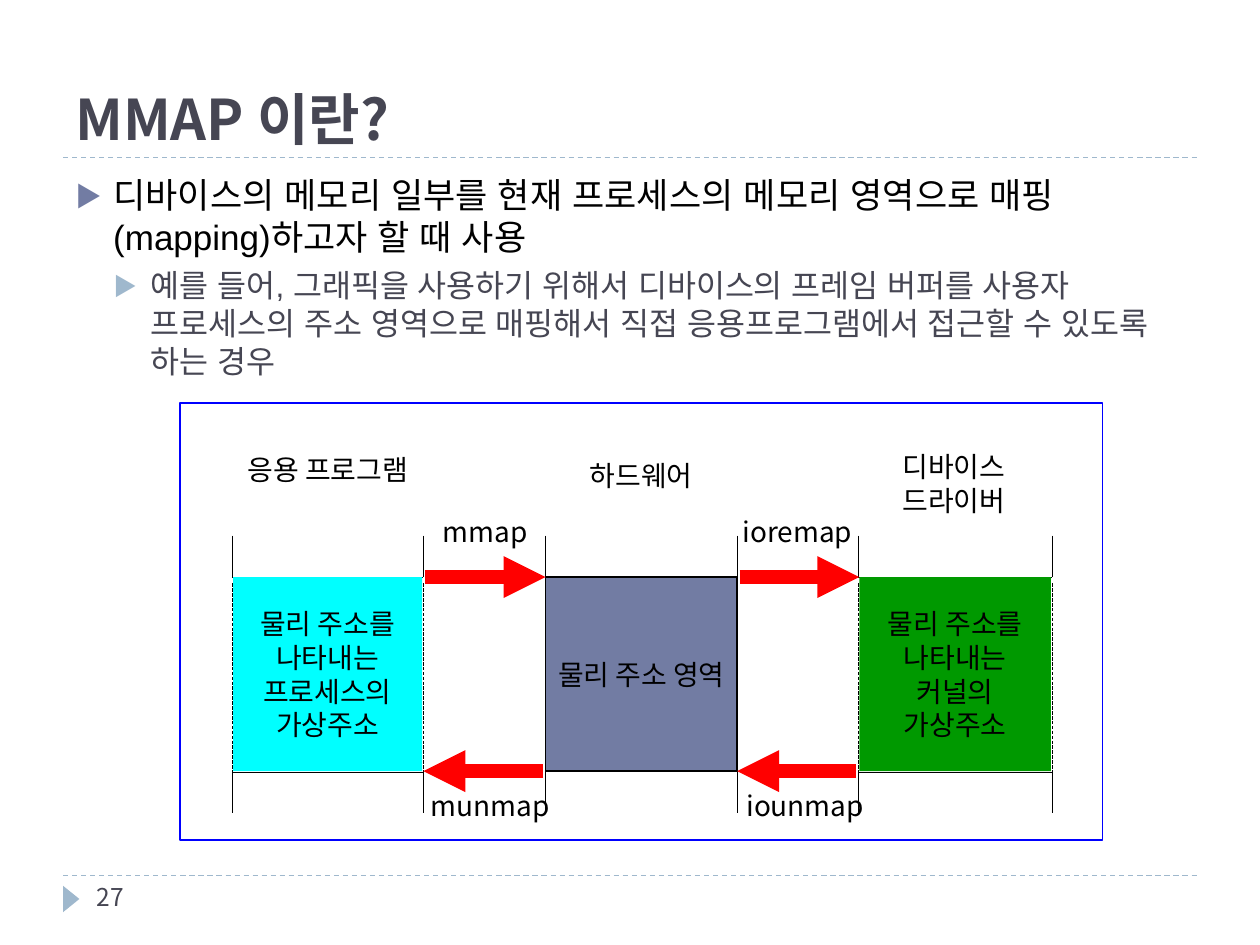
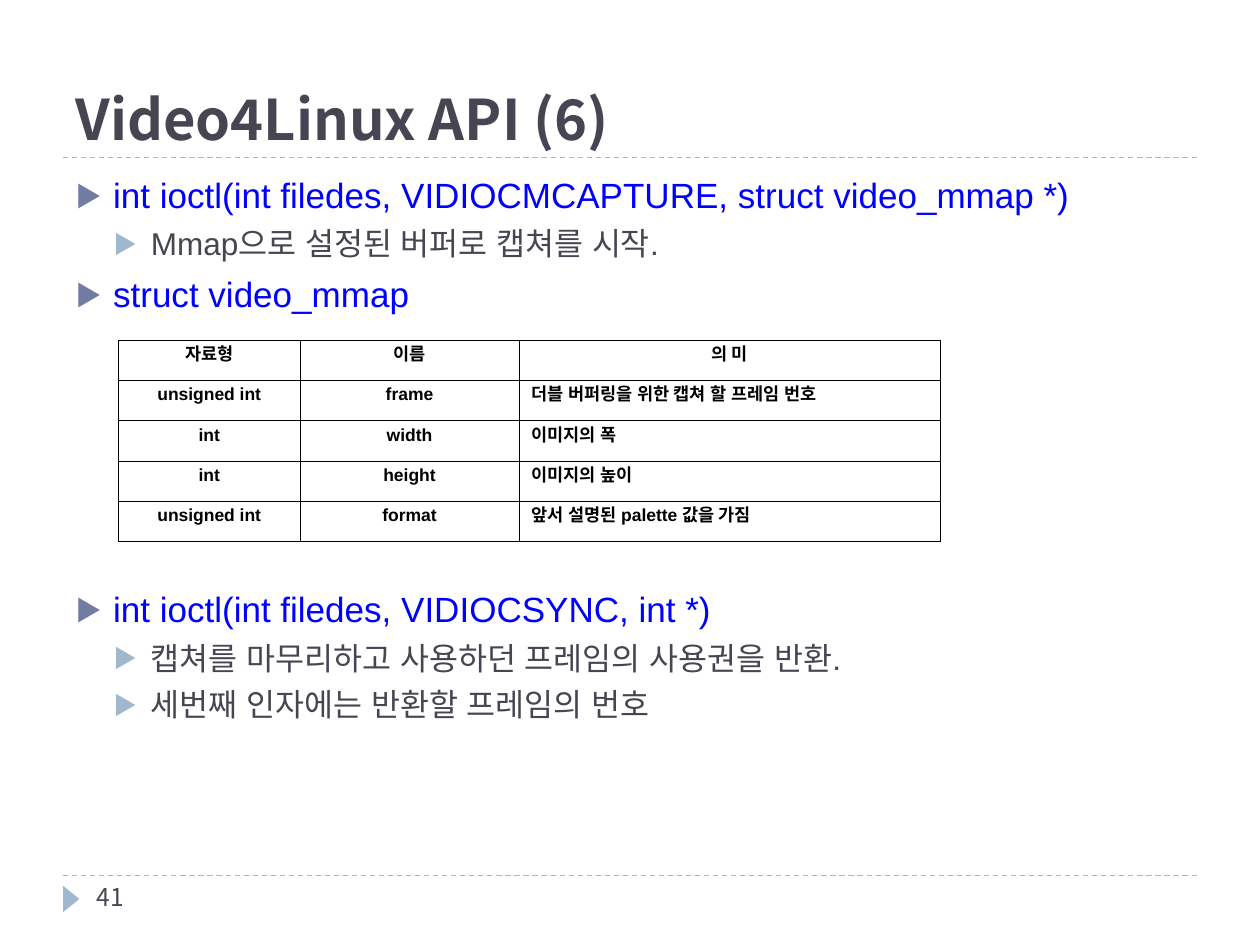
import pptx
import pptx.util
import pptx.dml.color
import pptx.enum.dml
import pptx.enum.shapes
import pptx.enum.text
import pptx.oxml.ns
from lxml import etree

Inches, Pt = pptx.util.Inches, pptx.util.Pt
Align = pptx.enum.text.PP_ALIGN
Anchor = pptx.enum.text.MSO_ANCHOR
Shape = pptx.enum.shapes.MSO_SHAPE
Dash = pptx.enum.dml.MSO_LINE
qn = pptx.oxml.ns.qn

# Shared style
SANS, ARIAL = "Noto Sans CJK KR", "Arial"
INK, BLACK, BLUE, RED = "464653", "000000", "0000FF", "FF0000"
SLATE, PALE = "727CA3", "9FB8CD"
LEVELS = [  # indent, space before, size, bullet colour
    (0.3, 6, 20, SLATE),
    (0.6, 5, 18, PALE),
]

# Content: body items are level, text, colour, extra space before
MMAP = [
    (0, "디바이스의 메모리 일부를 현재 프로세스의 메모리 영역으로 매핑(mapping)하고자 할 때 사용", BLACK, 0),
    (1, "예를 들어, 그래픽을 사용하기 위해서 디바이스의 프레임 버퍼를 사용자 "
        "프로세스의 주소 영역으로 매핑해서 직접 응용프로그램에서 접근할 수 있도록 하는 경우", INK, 0),
]
VIDEO = [
    (0, "int ioctl(int filedes, VIDIOCMCAPTURE, struct video_mmap *)", BLUE, 0),
    (1, "Mmap으로 설정된 버퍼로 캡쳐를 시작.", INK, 0),
    (0, "struct video_mmap", BLUE, 0),
    (0, "int ioctl(int filedes, VIDIOCSYNC, int *)", BLUE, 150),
    (1, "캡쳐를 마무리하고 사용하던 프레임의 사용권을 반환.", INK, 0),
    (1, "세번째 인자에는 반환할 프레임의 번호", INK, 0),
]
BLOCKS = [  # heading, its top, left edge, right edge, fill, outlined, lines
    ("응용 프로그램", 3.48, 1.84, 3.36, "00FFFF", False,
     ["물리 주소를", "나타내는", "프로세스의", "가상주소"]),
    ("하드웨어", 3.53, 4.33, 5.85, SLATE, True, ["물리 주소 영역"]),
    ("디바이스 드라이버", 3.59, 6.81, 8.35, "009900", False,
     ["물리 주소를", "나타내는", "커널의", "가상주소"]),
]
TOP, BOTTOM, TICK = 4.58, 6.12, 0.33
ARROWS = [  # from x, to x, y, label, label left, label top
    (3.37, 4.33, TOP, "mmap", 3.09, 3.97),
    (5.87, 6.82, TOP, "ioremap", 5.57, 3.97),
    (4.31, 3.36, BOTTOM, "munmap", 3.13, 6.15),
    (6.79, 5.85, BOTTOM, "iounmap", 5.63, 6.15),
]
FIELDS = [
    ("자료형", "이름", "의 미"),
    ("unsigned int", "frame", "더블 버퍼링을 위한 캡쳐 할 프레임 번호"),
    ("int", "width", "이미지의 폭"),
    ("int", "height", "이미지의 높이"),
    ("unsigned int", "format", "앞서 설명된 palette 값을 가짐"),
]
WIDTHS, ROW = [1.44, 1.74, 3.34], 0.32


def rgb(code):
    return pptx.dml.color.RGBColor.from_string(code)


def add(parent, tag, **attrs):
    return etree.SubElement(parent, qn(tag), attrs)


def style(para, size, color, face=SANS, bold=False):
    font = para.font
    font.size, font.bold, font.name = Pt(size), bold, face
    font.color.rgb = rgb(color)
    add(para._p.pPr.find(qn("a:defRPr")), "a:ea", typeface=face)


def write(frame, lines, size, color, align=Align.LEFT, bold=False):
    for i, line in enumerate(lines):
        para = frame.add_paragraph() if i else frame.paragraphs[0]
        para.text, para.alignment = line, align
        style(para, size, color, bold=bold)


def text(slide, at, lines, size, color, align=Align.LEFT,
         anchor=Anchor.TOP, bold=False, wrap=True):
    frame = slide.shapes.add_textbox(*map(Inches, at)).text_frame
    frame.word_wrap, frame.vertical_anchor = wrap, anchor
    write(frame, lines, size, color, align, bold)


def label(slide, left, top, line):
    text(slide, (left, top, 1.52, 0.49), [line], 16, BLACK,
         Align.CENTER, Anchor.MIDDLE, wrap=False)


def box(slide, at, fill=None, line=None, weight=0.75, kind=Shape.RECTANGLE):
    shape = slide.shapes.add_shape(kind, *map(Inches, at))
    shape.shadow.inherit = False
    if fill:
        shape.fill.solid()
        shape.fill.fore_color.rgb = rgb(fill)
    else:
        shape.fill.background()
    if line:
        shape.line.color.rgb = rgb(line)
        shape.line.width = Pt(weight)
    else:
        shape.line.fill.background()
    return shape


def rule(slide, ends, color=BLACK, weight=0.25, dash=None, arrow=False):
    kind = pptx.enum.shapes.MSO_CONNECTOR.STRAIGHT
    line = slide.shapes.add_connector(kind, *map(Inches, ends))
    line.line.color.rgb = rgb(color)
    line.line.width = Pt(weight)
    if dash:
        line.line.dash_style = dash
    if arrow:
        add(line.line._get_or_add_ln(), "a:tailEnd", type="triangle")
    add(line._element.spPr, "a:effectLst")


def body(slide, items):
    frame = slide.shapes.add_textbox(
        *map(Inches, (0.5, 1.33, 9, 5.4))).text_frame
    frame.word_wrap = True
    for i, (level, line, color, extra) in enumerate(items):
        indent, before, size, tint = LEVELS[level]
        para = frame.add_paragraph() if i else frame.paragraphs[0]
        para.text, para.level = line, level
        props = para._p.get_or_add_pPr()
        props.set("marL", str(Inches(indent)))
        props.set("indent", str(Inches(-0.3)))
        add(add(props, "a:buClr"), "a:srgbClr", val=tint)
        add(props, "a:buSzPct", val="76000")
        add(props, "a:buFont", typeface=SANS)
        add(props, "a:buChar", char="▶")
        para.space_before = Pt(before + extra if i else 0)
        style(para, size, color, ARIAL)


def start(deck, title, number, items):
    slide = deck.slides.add_slide(deck.slide_layouts[6])
    for y in (6.95, 1.25):
        rule(slide, (0.5, y, 9.5, y), PALE, 0.75, Dash.DASH)
    mark = box(slide, (0.46, 7.07, 0.21, 0.13), PALE,
               kind=Shape.ISOSCELES_TRIANGLE)
    mark.rotation = 90
    text(slide, (0.5, 0.17, 9, 1.08), [title], 32, INK,
         anchor=Anchor.BOTTOM, bold=True)
    body(slide, items)
    text(slide, (0.67, 6.95, 2.17, 0.4), [number], 14, INK)
    return slide


def diagram(slide):
    box(slide, (1.43, 3.2, 7.32, 3.47), line=BLUE, weight=1)
    for head, y, left, right, fill, solid, lines in BLOCKS:
        # Ticks above and below, then the edges of unlined blocks
        for x in (left, right):
            rule(slide, (x, TOP - TICK, x, TOP))
            rule(slide, (x, BOTTOM, x, BOTTOM + TICK))
            if not solid:
                rule(slide, (x, TOP + 0.05, x, BOTTOM),
                     dash=Dash.LONG_DASH)
        if not solid:
            for edge in (TOP, BOTTOM + 0.01):
                rule(slide, (left, edge, right, edge))
        inset = 0 if solid else 0.01
        block = box(slide, (left + inset, TOP, right - left - 2 * inset,
                            BOTTOM - TOP), fill, BLACK if solid else None)
        frame = block.text_frame
        frame.word_wrap, frame.vertical_anchor = False, Anchor.MIDDLE
        write(frame, lines, 16, BLACK, Align.CENTER)
        label(slide, left, y, head)
    for x, end, y, name, left, top in ARROWS:
        rule(slide, (x, y, end, y), RED, 8, arrow=True)
        label(slide, left, top, name)


def border(cell):
    props = cell._tc.get_or_add_tcPr()
    for tag in ("a:lnL", "a:lnR", "a:lnT", "a:lnB"):
        line = add(props, tag, w=str(Pt(0.45)))
        add(add(line, "a:solidFill"), "a:srgbClr", val=BLACK)


def fields(slide):
    size = (0.94, 2.7, sum(WIDTHS), ROW * len(FIELDS))
    table = slide.shapes.add_table(
        len(FIELDS), len(WIDTHS), *map(Inches, size)).table
    table.first_row = table.horz_banding = False
    for column, width in zip(table.columns, WIDTHS):
        column.width = Inches(width)
    for r, row in enumerate(FIELDS):
        table.rows[r].height = Inches(ROW)
        for c, value in enumerate(row):
            cell = table.cell(r, c)
            border(cell)
            cell.fill.background()
            para = cell.text_frame.paragraphs[0]
            para.text, para.line_spacing = value, 0.9
            para.alignment = Align.LEFT if r and c == 2 else Align.CENTER
            style(para, 10, BLACK, ARIAL, True)


def main():
    deck = pptx.Presentation()
    deck.slide_width, deck.slide_height = Inches(10), Inches(7.5)
    diagram(start(deck, "MMAP 이란?", "27", MMAP))
    fields(start(deck, "Video4Linux API (6)", "41", VIDEO))
    deck.save("out.pptx")


if __name__ == "__main__":
    main()
